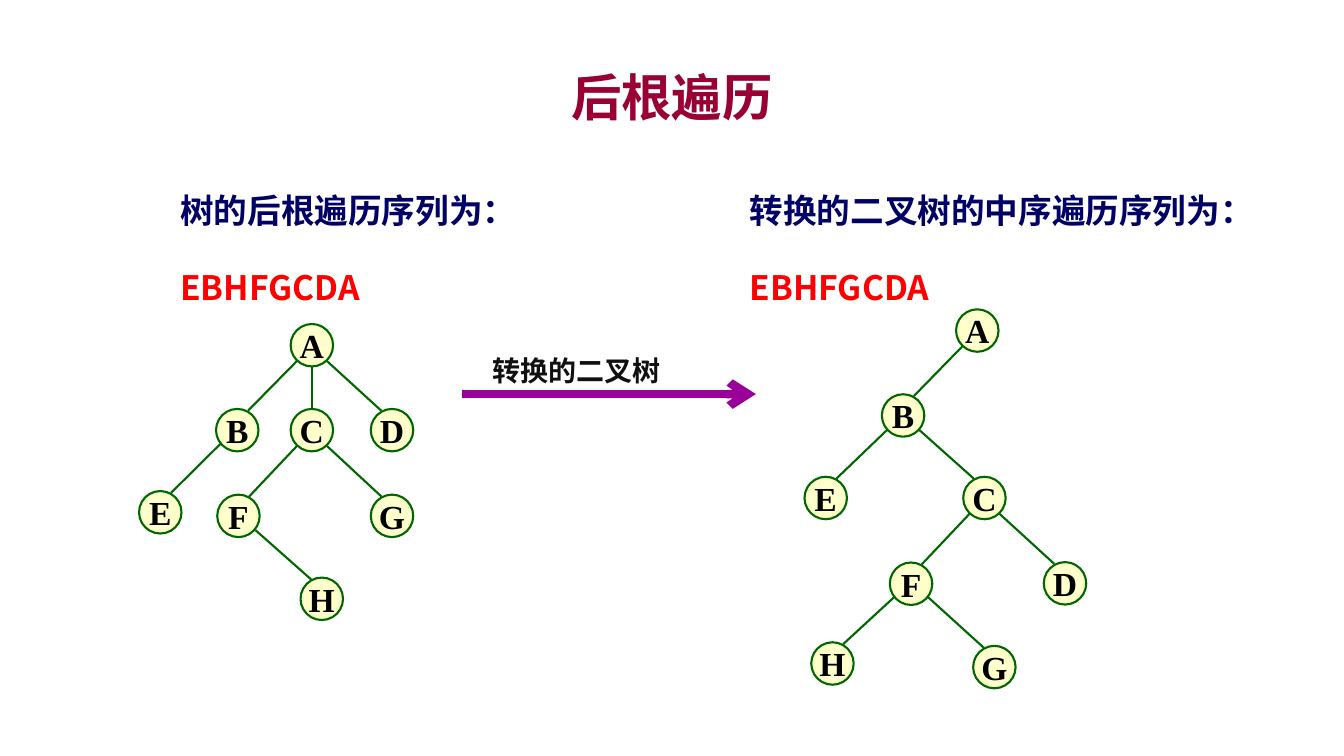
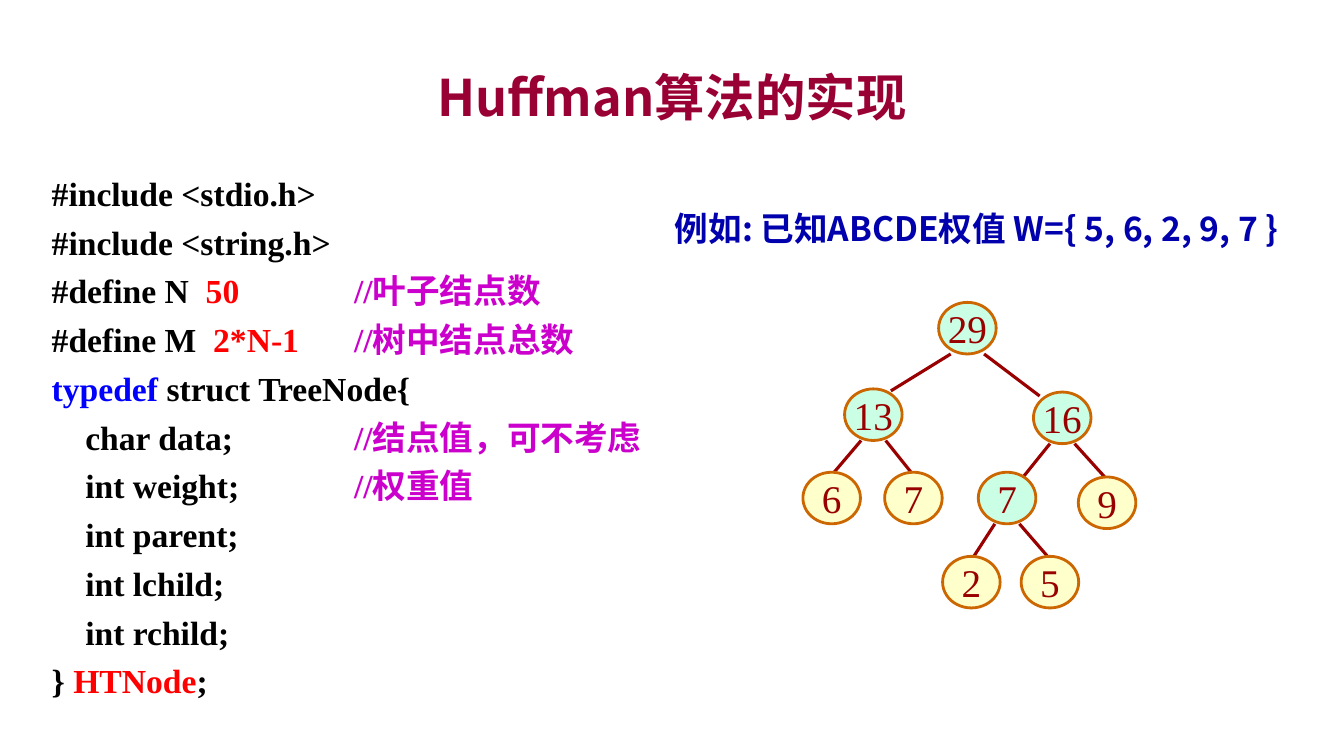
from dataclasses import dataclass
from typing import Optional

from lxml.etree import SubElement
from pptx import Presentation
from pptx.dml.color import RGBColor
from pptx.enum.shapes import MSO_CONNECTOR, MSO_SHAPE
from pptx.enum.text import MSO_ANCHOR, MSO_AUTO_SIZE, PP_ALIGN
from pptx.oxml.ns import qn
from pptx.util import Cm, Pt


@dataclass(frozen=True)
class Theme:
    sans: str = "Noto Sans CJK SC"
    serif: str = "Times New Roman"
    title: str = "990033"
    heading: str = "000066"
    example: str = "0000AD"
    label: str = "101010"
    black: str = "000000"
    red: str = "FF0000"
    keyword: str = "0000FF"
    comment: str = "CC00CC"
    arrow: str = "990099"
    title_size: float = 36
    text_size: float = 24
    label_size: float = 20


@dataclass(frozen=True)
class TreeStyle:
    width: float
    height: float
    leaf: str
    branch: str
    outline: str
    outline_width: float
    edge: str
    edge_width: float
    ink: str
    size: float
    bold: bool
    leave: tuple
    land: tuple
    opacity: int = 100


@dataclass(frozen=True)
class Node:
    text: str
    x: float
    y: float
    children: tuple = ()
    land: Optional[tuple] = None
    leave: Optional[tuple] = None


THEME = Theme()
TRAVERSAL = TreeStyle(1.07, 1.07, "FFFFCC", "FFFFCC", "006600", 1.5, "006600", 1.5,
                      "000000", 24, True, (0.36, 0.38), (0.27, 0.49))
HUFFMAN = TreeStyle(1.45, 1.3, "FFFF99", "99FFCC", "CC6600", 2, "990000", 2.25,
                    "990000", 28, False, (0.31, 0.65), (0.06, 0.65), 50)


class Deck:
    def __init__(self, theme):
        self.theme = theme
        self.presentation = Presentation()
        self.presentation.slide_width = Cm(33.87)
        self.presentation.slide_height = Cm(19.05)
        self.slide = None

    def start(self, layout, title):
        self.slide = self.presentation.slides.add_slide(
            self.presentation.slide_layouts[layout])
        frame = self.place(self.slide.shapes.title, (2.54, 1.47, 28.78, 1.9))
        frame.vertical_anchor = MSO_ANCHOR.MIDDLE
        paragraph = frame.paragraphs[0]
        paragraph.alignment = PP_ALIGN.CENTER
        self.run(paragraph, title, self.theme.title, self.theme.title_size)

    def place(self, shape, box):
        shape.left, shape.top, shape.width, shape.height = map(Cm, box)
        frame = shape.text_frame
        frame.word_wrap = True
        frame.auto_size = MSO_AUTO_SIZE.NONE
        return frame

    def run(self, paragraph, text, color, size, face=None, bold=True):
        run = paragraph.add_run()
        run.text = text
        font = run.font
        font.name = face or self.theme.sans
        font.size = Pt(size)
        font.bold = bold
        font.color.rgb = RGBColor.from_string(color)
        SubElement(font._element, qn("a:ea"), typeface=self.theme.sans)

    def body(self, index, box, lines, face=None, spacing=1.5, before=6, tab=2.54):
        frame = self.place(self.slide.placeholders[index], box)
        frame.vertical_anchor = MSO_ANCHOR.TOP
        for number, line in enumerate(lines):
            paragraph = frame.add_paragraph() if number else frame.paragraphs[0]
            paragraph.line_spacing = spacing
            paragraph.space_before = Pt(before)
            paragraph.space_after = Pt(6)
            properties = paragraph._p.get_or_add_pPr()
            properties.set("marL", "0")
            properties.set("indent", "0")
            properties.set("defTabSz", str(Cm(tab)))
            SubElement(properties, qn("a:buNone"))
            for text, color in line:
                self.run(paragraph, text, color, self.theme.text_size, face)

    def caption(self, box, text, color, size, align=PP_ALIGN.LEFT):
        frame = self.place(self.slide.shapes.add_textbox(*map(Cm, box)), box)
        paragraph = frame.paragraphs[0]
        paragraph.alignment = align
        self.run(paragraph, text, color, size)

    def line(self, start, end, color, width, arrow=False):
        connector = self.slide.shapes.add_connector(
            MSO_CONNECTOR.STRAIGHT, *map(Cm, (*start, *end)))
        connector.line.color.rgb = RGBColor.from_string(color)
        connector.line.width = Pt(width)
        if arrow:
            SubElement(connector.line._get_or_add_ln(), qn("a:tailEnd"), type="arrow")
        SubElement(connector._element.spPr, qn("a:effectLst"))

    def node(self, node, style):
        ellipse = self.slide.shapes.add_shape(
            MSO_SHAPE.OVAL, Cm(node.x - style.width / 2), Cm(node.y - style.height / 2),
            Cm(style.width), Cm(style.height))
        ellipse.shadow.inherit = False
        ellipse.fill.solid()
        ellipse.fill.fore_color.rgb = RGBColor.from_string(
            style.branch if node.children else style.leaf)
        if style.opacity < 100:
            color = ellipse._element.spPr.find(qn("a:solidFill"))[0]
            SubElement(color, qn("a:alpha"), val=str(style.opacity * 1000))
        ellipse.line.color.rgb = RGBColor.from_string(style.outline)
        ellipse.line.width = Pt(style.outline_width)
        frame = ellipse.text_frame
        frame.word_wrap = False
        frame.vertical_anchor = MSO_ANCHOR.MIDDLE
        paragraph = frame.paragraphs[0]
        paragraph.alignment = PP_ALIGN.CENTER
        self.run(paragraph, node.text, style.ink, style.size, self.theme.serif, style.bold)

    def edge(self, parent, child, style):
        side = (child.x > parent.x) - (child.x < parent.x)
        radius = (0, style.height / 2)
        leave = (parent.leave or style.leave) if side else radius
        land = (child.land or style.land) if side else radius
        self.line((parent.x + side * leave[0], parent.y + leave[1]),
                  (child.x - side * land[0], child.y - land[1]),
                  style.edge, style.edge_width)

    def tree(self, root, style):
        for child in root.children:
            self.edge(root, child, style)
            self.tree(child, style)
        self.node(root, style)

    def save(self):
        self.presentation.save("out.pptx")


def traversal_slide(deck):
    theme = deck.theme
    deck.start(3, "后根遍历")
    headings = (
        (1, (4.29, 4.15, 11.99, 3.53), "树的后根遍历序列为："),
        (2, (18.64, 4.15, 13.77, 3.53), "转换的二叉树的中序遍历序列为："),
    )
    for index, box, heading in headings:
        deck.body(index, box, [[(heading, theme.heading)], [("EBHFGCDA", theme.red)]])

    general_tree = Node("A", 7.86, 8.7, (
        Node("B", 5.98, 10.84, (Node("E", 4.04, 12.91),), leave=(0.41, 0.33)),
        Node("C", 7.86, 10.84, (
            Node("F", 6.01, 13, (Node("H", 8.11, 15.09),), leave=(0.43, 0.36)),
            Node("G", 9.88, 13))),
        Node("D", 9.88, 10.84)))
    binary_tree = Node("A", 24.63, 8.33, (
        Node("B", 22.76, 10.47, (
            Node("E", 20.81, 12.55),
            Node("C", 24.81, 12.55, (
                Node("F", 22.96, 14.71, (
                    Node("H", 20.98, 16.72),
                    Node("G", 25.06, 16.81)), leave=(0.43, 0.34)),
                Node("D", 26.84, 14.7)))), leave=(0.39, 0.35)),))
    for root in (general_tree, binary_tree):
        deck.tree(root, TRAVERSAL)

    deck.line((11.65, 9.93), (19.05, 9.93), theme.arrow, 6, arrow=True)
    deck.caption((10.83, 8.79, 7.42, 1.02), "转换的二叉树", theme.label,
                 theme.label_size, PP_ALIGN.CENTER)


def huffman_slide(deck):
    theme = deck.theme
    black, red, comment = theme.black, theme.red, theme.comment
    deck.start(1, "Huffman算法的实现")
    code = [
        [("#include <stdio.h>", black)],
        [("#include <string.h>", black)],
        [("#define N  ", black), ("50\t", red), ("//叶子结点数", comment)],
        [("#define M  ", black), ("2*N-1\t", red), ("//树中结点总数", comment)],
        [("typedef ", theme.keyword), ("struct TreeNode{", black)],
        [("    char data;\t", black), ("//结点值，可不考虑", comment)],
        [("    int weight;\t", black), ("//权重值", comment)],
        *([(f"    int {field};", black)] for field in ("parent", "lchild", "rchild")),
        [("} ", black), ("HTNode", red), (";", black)],
    ]
    deck.body(1, (1.05, 4.23, 23.8, 13.69), code, theme.serif,
              spacing=Pt(28.8), before=0, tab=7.62)
    deck.caption((16.76, 5.11, 17.05, 1.27), "例如: 已知ABCDE权值 W={ 5, 6, 2, 9, 7 }",
                 theme.example, theme.text_size)

    weights = Node("29", 24.38, 8.27, (
        Node("13", 22.01, 10.45, (
            Node("6", 20.96, 12.55),
            Node("7", 23.02, 12.55)), (0.44, 0.6)),
        Node("16", 26.77, 10.53, (
            Node("7", 25.38, 12.55, (
                Node("2", 24.48, 14.67),
                Node("5", 26.46, 14.67)), (0.42, 0.55)),
            Node("9", 27.9, 12.67)), (0.57, 0.55))), leave=(0.42, 0.65))
    deck.tree(weights, HUFFMAN)


def main():
    deck = Deck(THEME)
    traversal_slide(deck)
    huffman_slide(deck)
    deck.save()


if __name__ == "__main__":
    main()
